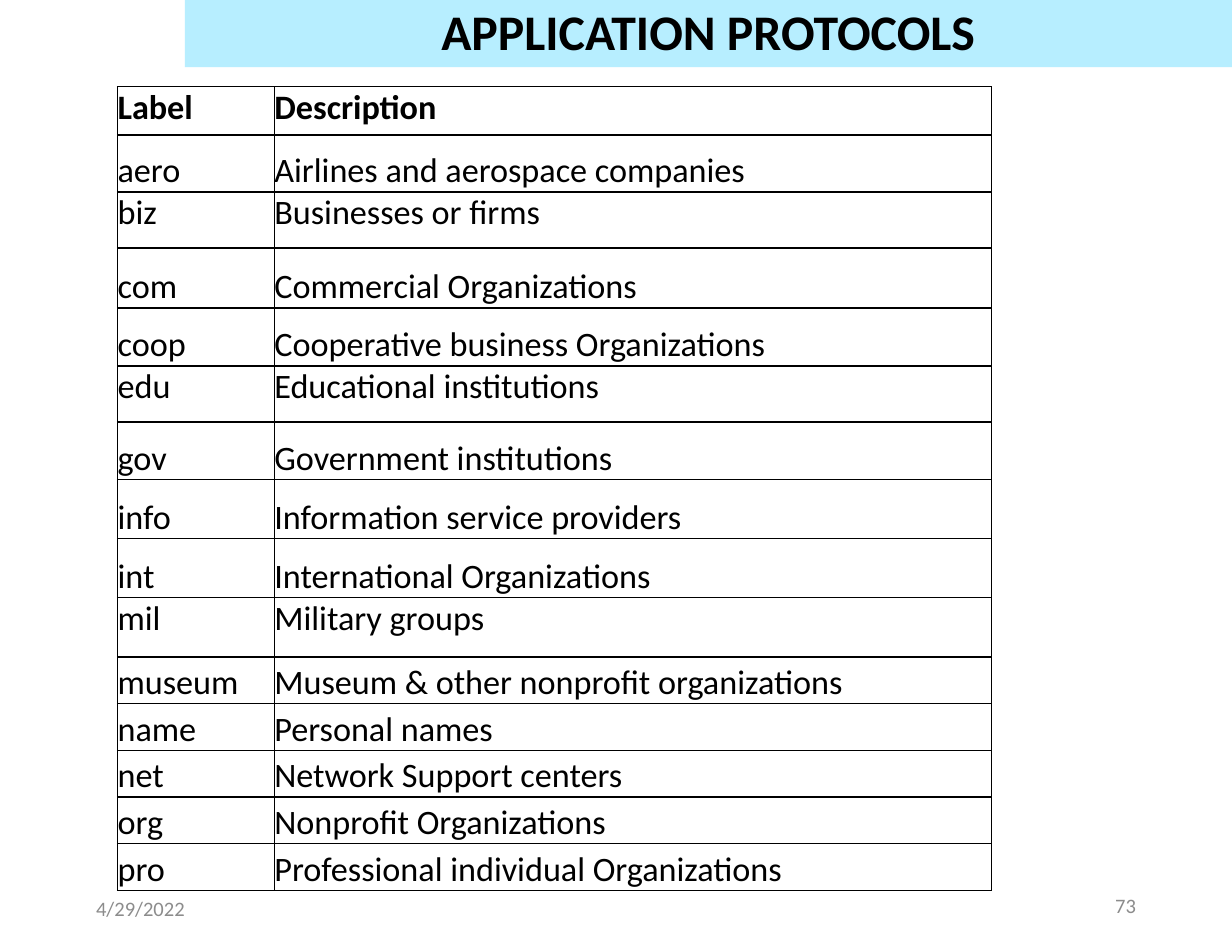
from lxml.etree import SubElement
from pptx import Presentation
from pptx.dml.color import RGBColor
from pptx.enum.shapes import MSO_SHAPE
from pptx.enum.text import MSO_ANCHOR, PP_ALIGN
from pptx.oxml.ns import qn
from pptx.util import Pt

COLORS = {"text": "000000", "band": "B7EEFF", "footer": "8C8C8C"}
TOP, BOTTOM = MSO_ANCHOR.TOP, MSO_ANCHOR.BOTTOM

# label, description, row height, anchor
ROWS = [
    ("Label", "Description", 31, TOP),
    ("aero", "Airlines and aerospace companies", 36.6, BOTTOM),
    ("biz", "Businesses or firms", 36, TOP),
    ("com", "Commercial Organizations", 38.6, BOTTOM),
    ("coop", "Cooperative business Organizations", 37.4, BOTTOM),
    ("edu", "Educational institutions", 36, TOP),
    ("gov", "Government institutions", 37, BOTTOM),
    ("info", "Information service providers", 38, BOTTOM),
    ("int", "International Organizations", 38, BOTTOM),
    ("mil", "Military groups", 38, TOP),
    ("museum", "Museum & other nonprofit organizations", 30, BOTTOM),
    ("name", "Personal names", 30, BOTTOM),
    ("net", "Network Support centers", 30, BOTTOM),
    ("org", "Nonprofit Organizations", 30, BOTTOM),
    ("pro", "Professional individual Organizations", 30, BOTTOM),
]


def add_run(p, text, size, color, bold=False):
    r = p.add_run()
    r.text = text
    r.font.name = "Calibri"
    r.font.size = Pt(size)
    r.font.bold = bold
    r.font.color.rgb = RGBColor.from_string(COLORS[color])


def add_borders(cell):
    tc_pr = cell._tc.get_or_add_tcPr()
    for side in ("a:lnL", "a:lnR", "a:lnT", "a:lnB"):
        ln = SubElement(tc_pr, qn(side), w=str(Pt(1)))
        fill = SubElement(ln, qn("a:solidFill"))
        SubElement(fill, qn("a:srgbClr"), val=COLORS["text"])


prs = Presentation()
prs.slide_width, prs.slide_height = Pt(792), Pt(612)
s = prs.slides.add_slide(prs.slide_layouts[6])

# Table of domain labels
height = sum(row[2] for row in ROWS)
table = s.shapes.add_table(len(ROWS), 2, Pt(75.6), Pt(55.8), Pt(561.6), Pt(height)).table
table.first_row = table.horz_banding = False
table.columns[0].width, table.columns[1].width = Pt(100.8), Pt(460.8)
for i, (label, description, row_height, anchor) in enumerate(ROWS):
    table.rows[i].height = Pt(row_height)
    for j, text in enumerate((label, description)):
        cell = table.cell(i, j)
        cell.margin_left = cell.margin_right = cell.margin_top = cell.margin_bottom = 0
        cell.vertical_anchor = anchor
        add_borders(cell)
        cell.fill.background()
        add_run(cell.text_frame.paragraphs[0], text, 22, "text", bold=i == 0)

# Date and slide number
for text, left, top, width, align in (
    ("4/29/2022", 54.7, 567.4, 89.3, PP_ALIGN.LEFT),
    ("73", 688.3, 566, 49, PP_ALIGN.RIGHT),
):
    tf = s.shapes.add_textbox(Pt(left), Pt(top), Pt(width), Pt(32.4)).text_frame
    tf.word_wrap = True
    tf.vertical_anchor = MSO_ANCHOR.MIDDLE
    p = tf.paragraphs[0]
    p.alignment = align
    add_run(p, text, 13.2, "footer")

# Title band
band = s.shapes.add_shape(MSO_SHAPE.RECTANGLE, Pt(118.8), 0, Pt(673.2), Pt(43.2))
band.shadow.inherit = False
band.fill.solid()
band.fill.fore_color.rgb = RGBColor.from_string(COLORS["band"])
band.line.fill.background()
tf = band.text_frame
tf.word_wrap = True
tf.vertical_anchor = BOTTOM
p = tf.paragraphs[0]
p.alignment = PP_ALIGN.CENTER
p.line_spacing = 0.9
add_run(p, "APPLICATION PROTOCOLS", 32, "text", bold=True)

prs.save("out.pptx")
